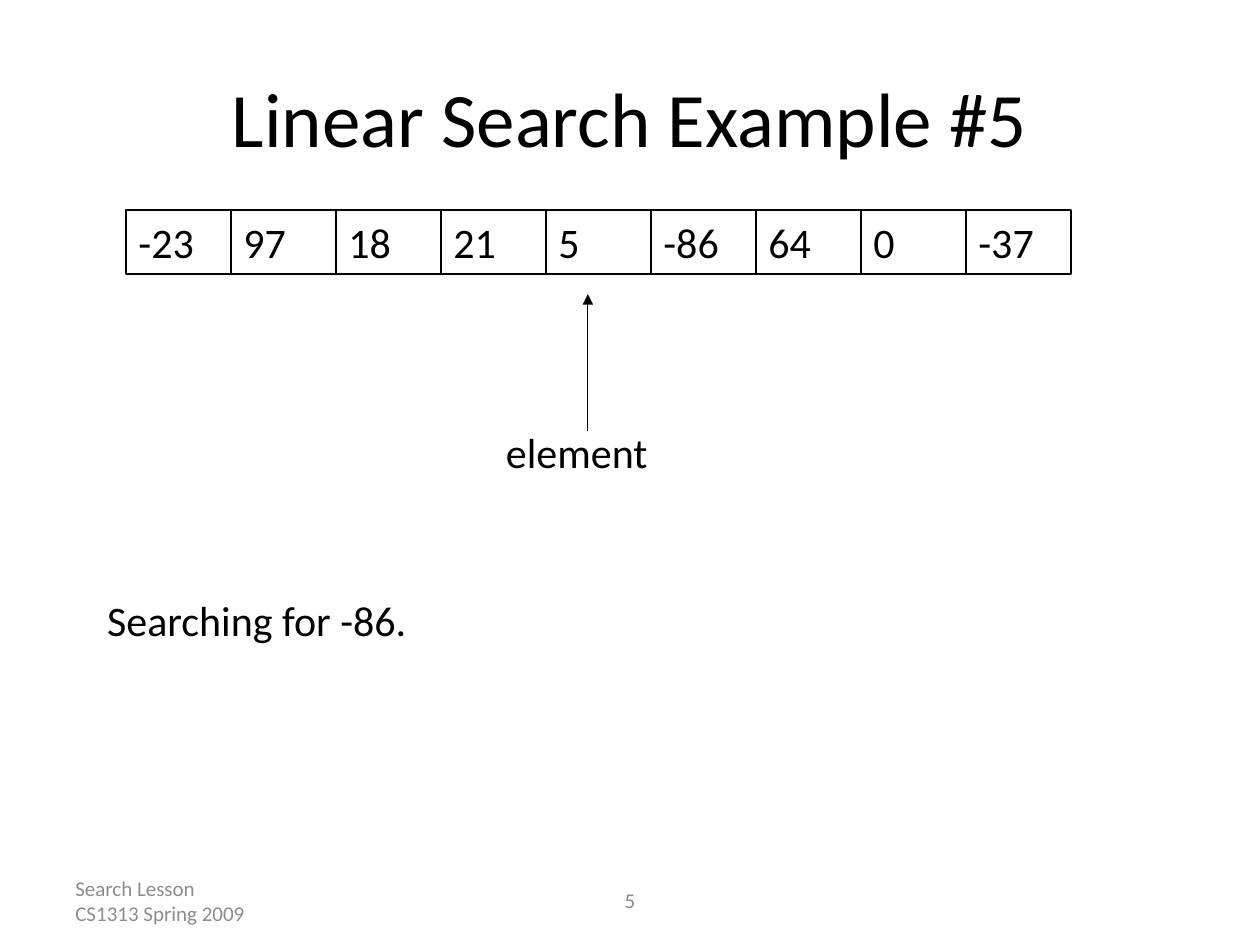
"""Build the slide that shows one step of a linear search."""
from lxml import etree
from pptx import Presentation
from pptx import util as u
from pptx.dml.color import RGBColor
from pptx.enum import shapes, text
from pptx.oxml.ns import qn


def color(value):
    return RGBColor.from_string(value)


def write(shape, content, size=24, ink="000000", align=text.PP_ALIGN.LEFT,
          anchor=text.MSO_ANCHOR.TOP, fit=text.MSO_AUTO_SIZE.NONE):
    frame = shape.text_frame
    frame.text = content
    frame.word_wrap = True
    frame.auto_size = fit
    frame.vertical_anchor = anchor
    for paragraph in frame.paragraphs:
        paragraph.alignment = align
        paragraph.font.name = "Calibri"
        paragraph.font.size = u.Pt(size)
        paragraph.font.color.rgb = color(ink)


prs = Presentation()
prs.slide_width, prs.slide_height = u.Cm(25.4), u.Cm(19.05)
slide = prs.slides.add_slide(prs.slide_layouts[5])
grow = text.MSO_AUTO_SIZE.SHAPE_TO_FIT_TEXT
middle = text.MSO_ANCHOR.MIDDLE
center = text.PP_ALIGN.CENTER

title = slide.shapes.title
title.left, title.top, title.width, title.height = u.Cm(1.27), u.Cm(0.76), u.Cm(22.86), u.Cm(3.18)
write(title, "Linear Search Example #5", size=44, align=center, anchor=middle)

footers = [("Search Lesson\nCS1313 Spring 2009", 1.27, 5.92, text.PP_ALIGN.LEFT),
           ("5", 8.68, 8.04, center)]
for content, left, width, align in footers:
    footer = slide.shapes.add_textbox(u.Cm(left), u.Cm(17.65), u.Cm(width), u.Cm(1.01))
    write(footer, content, size=12, ink="8C8C8C", align=align, anchor=middle)

labels = [("element", 9.95, 8.47, 3.81), ("Searching for -86.", 1.91, 11.85, 8.68)]
for content, left, top, width in labels:
    label = slide.shapes.add_textbox(u.Cm(left), u.Cm(top), u.Cm(width), u.Cm(1.27))
    write(label, content, fit=grow)

pointer = slide.shapes.add_connector(shapes.MSO_CONNECTOR.STRAIGHT,
                                     u.Cm(11.85), u.Cm(8.68), u.Cm(11.85), u.Cm(5.93))
pointer.line.color.rgb = color("000000")
pointer.line.width = u.Pt(0.75)
etree.SubElement(pointer.line._get_or_add_ln(), qn("a:tailEnd"), type="triangle")
etree.SubElement(pointer._element.spPr, qn("a:effectLst"))

values = [-23, 97, 18, 21, 5, -86, 64, 0, -37]
cell_width = 19.05 / len(values)
for index, value in enumerate(values):
    cell = slide.shapes.add_shape(shapes.MSO_SHAPE.RECTANGLE, u.Cm(2.54 + index * cell_width),
                                  u.Cm(4.23), u.Cm(cell_width), u.Cm(1.3))
    cell.shadow.inherit = False
    cell.fill.background()
    cell.line.color.rgb = color("000000")
    cell.line.width = u.Pt(1)
    write(cell, str(value), fit=grow)

prs.save("out.pptx")
